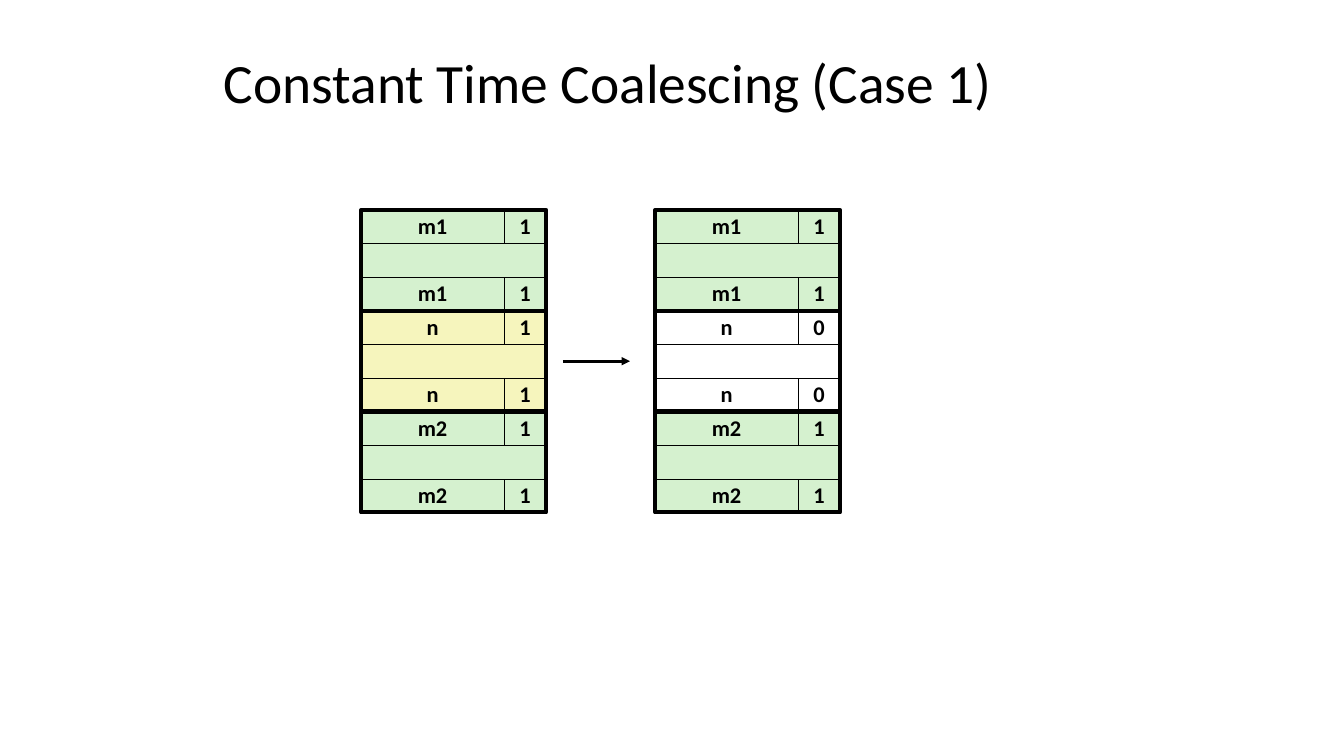
from dataclasses import dataclass

from lxml.etree import SubElement
from pptx import Presentation
from pptx.dml.color import RGBColor
from pptx.enum.shapes import MSO_CONNECTOR, MSO_SHAPE
from pptx.enum.text import MSO_ANCHOR, PP_ALIGN
from pptx.oxml.ns import qn
from pptx.util import Pt


@dataclass(frozen=True)
class Theme:
    font: str = "Calibri"
    ink: str = "000000"
    allocated: str = "D5F1CF"
    freeing: str = "F6F5BD"
    free: str = "FFFFFF"
    title_size: float = 39.6
    cell_size: float = 16
    thin: float = 0.26
    arrow: float = 2
    thick: float = 3


class HeapSlide:
    """Draws heap blocks, arrows and a title on one slide in one theme."""

    def __init__(self, slide, theme):
        self.shapes = slide.shapes
        self.theme = theme

    def label(self, frame, text, size, bold=False, align=PP_ALIGN.LEFT, spacing=0.9):
        frame.vertical_anchor = MSO_ANCHOR.MIDDLE
        paragraph = frame.paragraphs[0]
        paragraph.text = text
        paragraph.alignment = align
        paragraph.line_spacing = spacing
        font = paragraph.font
        font.name, font.size, font.bold = self.theme.font, Pt(size), bold
        font.color.rgb = RGBColor.from_string(self.theme.ink)

    def title(self, text, left, top, width, height):
        box = self.shapes.add_textbox(Pt(left), Pt(top), Pt(width), Pt(height))
        box.text_frame.word_wrap = True
        self.label(box.text_frame, text, self.theme.title_size)

    def stroke(self, line, weight):
        line.color.rgb = RGBColor.from_string(self.theme.ink)
        line.width = Pt(weight)

    def box(self, left, top, width, height, weight, fill=None, text=None):
        rect = self.shapes.add_shape(
            MSO_SHAPE.RECTANGLE, Pt(left), Pt(top), Pt(width), Pt(height))
        rect.shadow.inherit = False
        self.stroke(rect.line, weight)
        if fill:
            rect.fill.solid()
            rect.fill.fore_color.rgb = RGBColor.from_string(fill)
        else:
            rect.fill.background()
        if text:
            rect.text_frame.word_wrap = False
            self.label(rect.text_frame, text, self.theme.cell_size, True,
                       PP_ALIGN.CENTER, 0.98)

    def block(self, left, top, size_label, flag, fill):
        thin = self.theme.thin
        for tag_top in (top, top + 2 * ROW):
            self.box(left, tag_top, SIZE_WIDTH, ROW, thin, fill, size_label)
            self.box(left + SIZE_WIDTH, tag_top, FLAG_WIDTH, ROW, thin, fill, flag)
        self.box(left, top + ROW, SIZE_WIDTH + FLAG_WIDTH, ROW, thin, fill)
        self.box(left, top, SIZE_WIDTH + FLAG_WIDTH, 3 * ROW, self.theme.thick)

    def arrow(self, start, end, y):
        connector = self.shapes.add_connector(
            MSO_CONNECTOR.STRAIGHT, Pt(start), Pt(y), Pt(end), Pt(y))
        self.stroke(connector.line, self.theme.arrow)
        properties = connector.element.spPr
        SubElement(properties.get_or_add_ln(), qn("a:tailEnd"), type="triangle")
        SubElement(properties, qn("a:effectLst"))


ROW, SIZE_WIDTH, FLAG_WIDTH = 24, 102, 30
HEAP_TOP = 150

presentation = Presentation()
presentation.slide_width, presentation.slide_height = Pt(960), Pt(540)
theme = Theme()
slide = HeapSlide(
    presentation.slides.add_slide(presentation.slide_layouts[6]), theme)

slide.title("Constant Time Coalescing (Case 1)", 152.64, 38.16, 653.76, 45.36)

before = (258, "1", theme.freeing)
after = (468, "0", theme.free)
for heap_left, middle_flag, middle_fill in (before, after):
    blocks = (
        ("m1", "1", theme.allocated),
        ("n", middle_flag, middle_fill),
        ("m2", "1", theme.allocated),
    )
    for index, (size_label, flag, fill) in enumerate(blocks):
        slide.block(heap_left, HEAP_TOP + index * 3 * ROW, size_label, flag, fill)

slide.arrow(402, 450, HEAP_TOP + 4.5 * ROW)

presentation.save("out.pptx")
